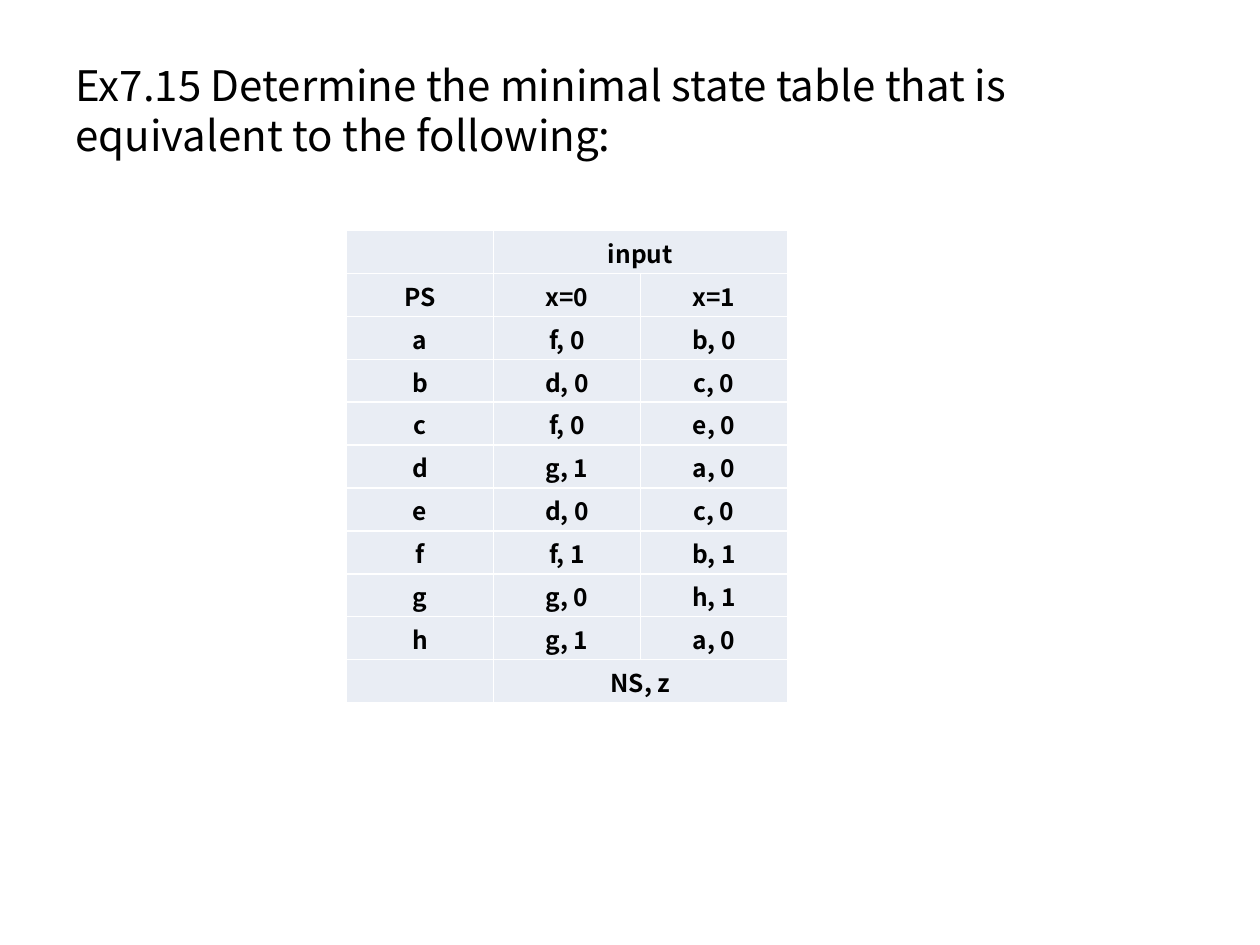
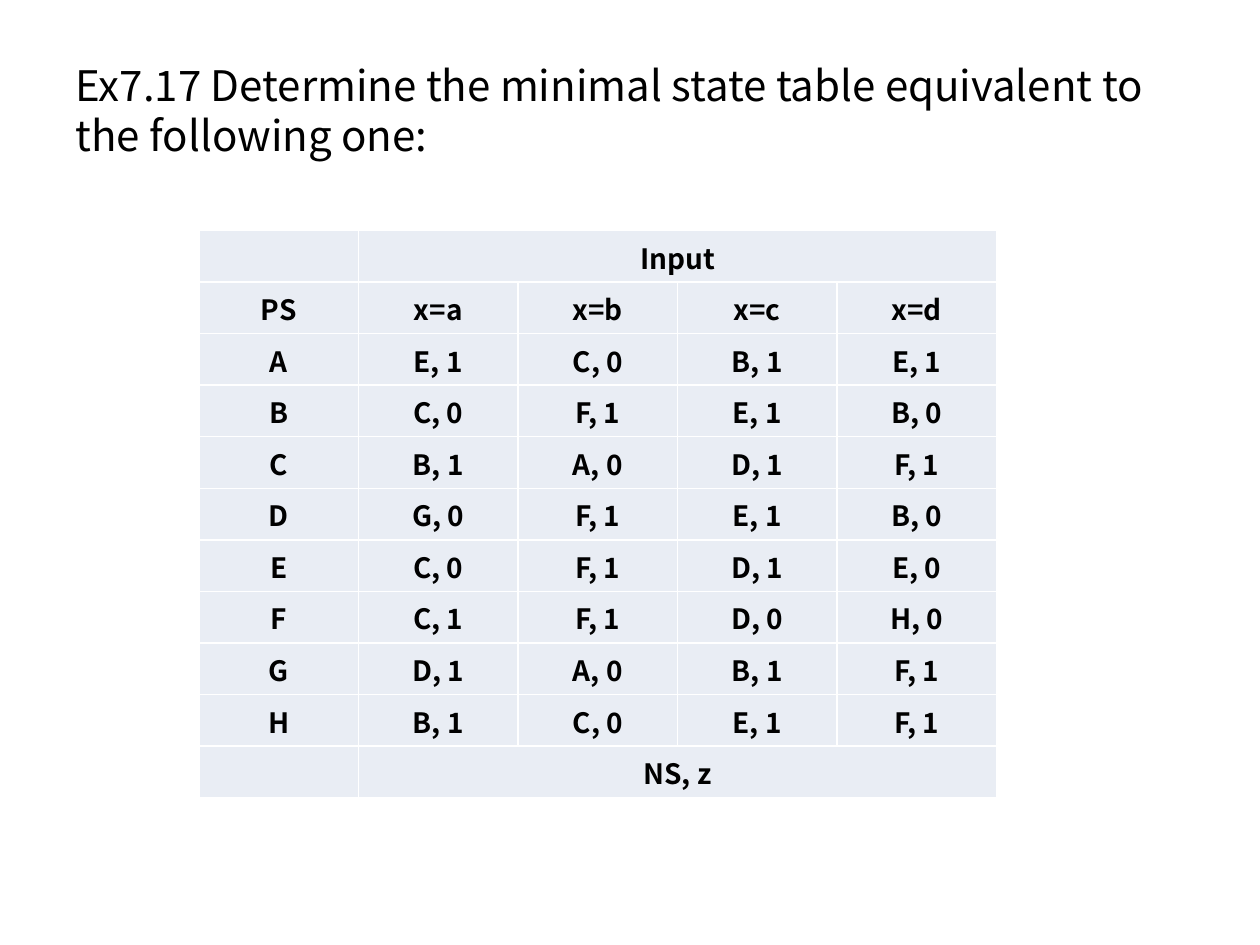
from dataclasses import dataclass

from lxml.etree import SubElement
from pptx import Presentation
from pptx.dml.color import RGBColor
from pptx.enum.text import MSO_ANCHOR, MSO_AUTO_SIZE, PP_ALIGN
from pptx.oxml.ns import qn
from pptx.util import Inches, Pt

# Shared look
FONT = "Noto Sans CJK KR"
BLACK = RGBColor(0x00, 0x00, 0x00)
WHITE = RGBColor(0xFF, 0xFF, 0xFF)
CELL_FILL = RGBColor(0xE9, 0xED, 0xF4)
TITLE_SIZE = 24
TABLE_TOP = 1.83
TITLE_ONLY = 5


@dataclass(frozen=True)
class StateTable:
    """An exercise: its wording and the state table to be minimised."""
    title: str
    input_label: str
    header: tuple[str, ...]
    states: dict[str, tuple[str, ...]]
    left: float
    width: float
    height: float
    text_size: int

    def rows(self) -> list[tuple[str, ...]]:
        return [
            ("", self.input_label),
            self.header,
            *((state, *successors) for state, successors in self.states.items()),
            ("", "NS, z"),
        ]


EXERCISES = (
    StateTable(
        title="Ex7.15 Determine the minimal state table that is equivalent to the following:",
        input_label="input",
        header=("PS", "x=0", "x=1"),
        states={
            "a": ("f, 0", "b, 0"),
            "b": ("d, 0", "c, 0"),
            "c": ("f, 0", "e, 0"),
            "d": ("g, 1", "a, 0"),
            "e": ("d, 0", "c, 0"),
            "f": ("f, 1", "b, 1"),
            "g": ("g, 0", "h, 1"),
            "h": ("g, 1", "a, 0"),
        },
        left=2.75, width=3.5, height=3.75, text_size=14,
    ),
    StateTable(
        title="Ex7.17 Determine the minimal state table equivalent to the following one:",
        input_label="Input",
        header=("PS", "x=a", "x=b", "x=c", "x=d"),
        states={
            "A": ("E, 1", "C, 0", "B, 1", "E, 1"),
            "B": ("C, 0", "F, 1", "E, 1", "B, 0"),
            "C": ("B, 1", "A, 0", "D, 1", "F, 1"),
            "D": ("G, 0", "F, 1", "E, 1", "B, 0"),
            "E": ("C, 0", "F, 1", "D, 1", "E, 0"),
            "F": ("C, 1", "F, 1", "D, 0", "H, 0"),
            "G": ("D, 1", "A, 0", "B, 1", "F, 1"),
            "H": ("B, 1", "C, 0", "E, 1", "F, 1"),
        },
        left=1.58, width=6.33, height=4.5, text_size=16,
    ),
)


def write(frame, text: str, *, size: int, bold: bool = False,
          align: PP_ALIGN = PP_ALIGN.LEFT, space_before: float = 0) -> None:
    """Put one formatted paragraph into a text frame."""
    para = frame.paragraphs[0]
    para.alignment = align
    para.space_before = Pt(space_before)
    span = para.add_run()
    span.text = text
    span.font.name = FONT
    span.font.size = Pt(size)
    span.font.bold = bold
    span.font.color.rgb = BLACK


def add_borders(cell, color: RGBColor, width: float) -> None:
    """Draw all four edges of a cell; edges must precede the fill."""
    properties = cell._tc.get_or_add_tcPr()
    for edge in ("a:lnL", "a:lnR", "a:lnT", "a:lnB"):
        line = SubElement(properties, qn(edge), w=str(Pt(width)))
        SubElement(SubElement(line, qn("a:solidFill")), qn("a:srgbClr"), val=str(color))


def add_title(page, text: str) -> None:
    title = page.shapes.title
    title.left, title.top = Inches(0.5), Inches(0.42)
    title.width, title.height = Inches(9), Inches(6.28)
    frame = title.text_frame
    frame.word_wrap = True
    frame.auto_size = MSO_AUTO_SIZE.NONE
    frame.vertical_anchor = MSO_ANCHOR.TOP
    write(frame, text, size=TITLE_SIZE, space_before=0.2 * TITLE_SIZE)


def add_state_table(page, exercise: StateTable) -> None:
    rows = exercise.rows()
    column_count = len(exercise.header)
    table = page.shapes.add_table(
        len(rows), column_count, Inches(exercise.left), Inches(TABLE_TOP),
        Inches(exercise.width), Inches(exercise.height)).table
    table.first_row = table.horz_banding = False
    for column in table.columns:
        column.width = Inches(exercise.width / column_count)
    for row in table.rows:
        row.height = Inches(exercise.height / len(rows))

    # Cell style
    for cell in table.iter_cells():
        add_borders(cell, WHITE, 1)
        cell.fill.solid()
        cell.fill.fore_color.rgb = CELL_FILL
        cell.vertical_anchor = MSO_ANCHOR.MIDDLE
        cell.margin_left = cell.margin_right = cell.margin_top = Inches(0.01)
        cell.margin_bottom = 0

    # The first and last rows span all input columns
    for index in (0, len(rows) - 1):
        table.cell(index, 1).merge(table.cell(index, column_count - 1))

    for row_index, texts in enumerate(rows):
        for column_index, text in enumerate(texts):
            if text:
                write(table.cell(row_index, column_index).text_frame, text,
                      size=exercise.text_size, bold=True, align=PP_ALIGN.CENTER)


def main() -> None:
    deck = Presentation()
    deck.slide_width, deck.slide_height = Inches(10), Inches(7.5)
    for exercise in EXERCISES:
        page = deck.slides.add_slide(deck.slide_layouts[TITLE_ONLY])
        add_title(page, exercise.title)
        add_state_table(page, exercise)
    deck.save("out.pptx")


if __name__ == "__main__":
    main()
